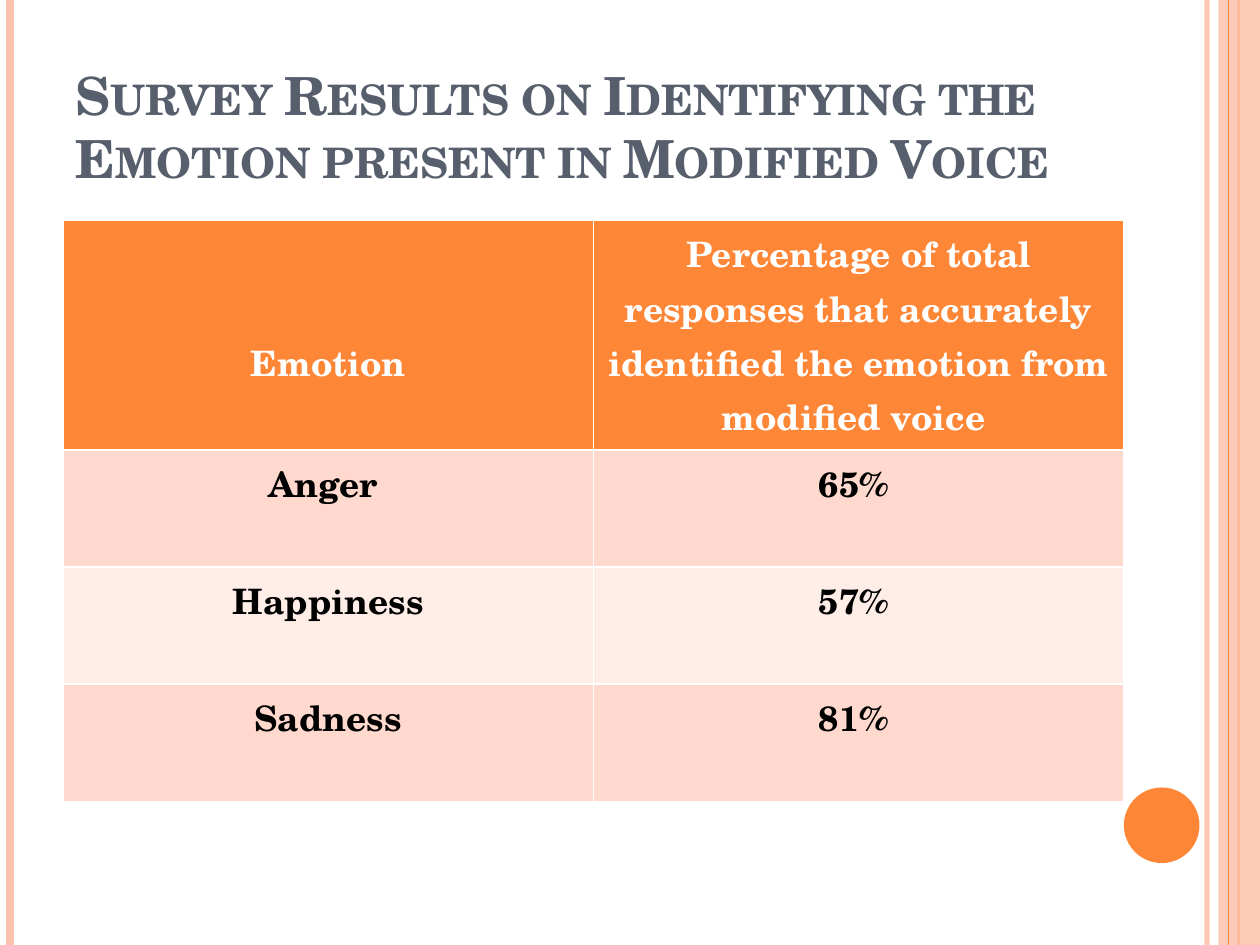
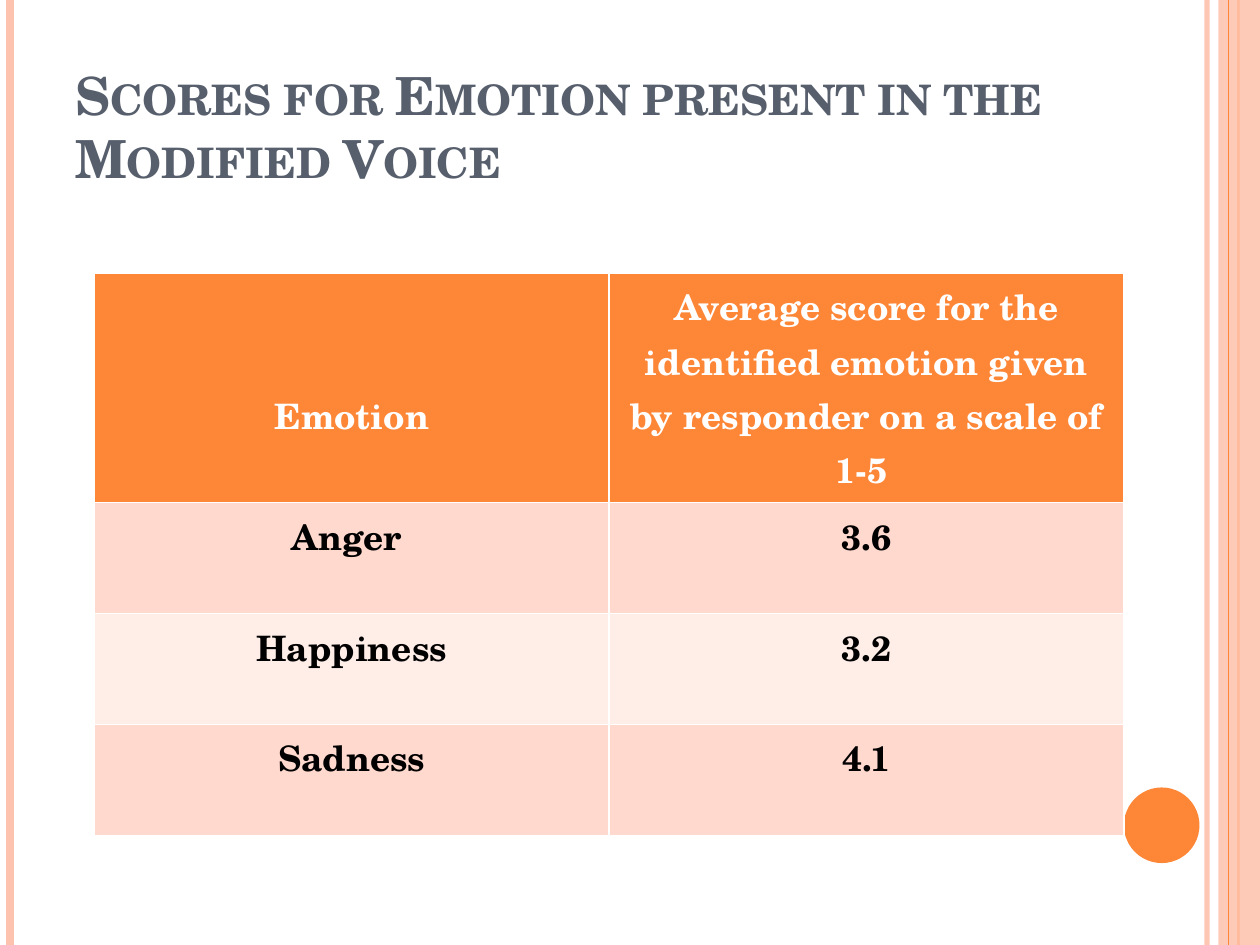
"""Two survey result slides with a shared orange frame, title style and table."""
from dataclasses import dataclass

from lxml import etree
from pptx import Presentation
from pptx.dml.color import RGBColor
from pptx.enum import shapes, text
from pptx.oxml import ns
from pptx.util import Inches, Pt

FONT = "TeX Gyre Schola"
ORANGE, PEACH, SLATE = "FE8637", "FEC3AE", "575F6D"
WHITE, BLACK = "FFFFFF", "000000"
BANDS = ("FFD9CE", "FFEDE8")
WIDTH, HEIGHT = 10, 7.5
HEADER_HEIGHT = 1.82  # four lines of 20 pt text and the cell margins


@dataclass
class Rule:
    """A full-height vertical line of the frame."""
    x: float
    color: str
    weight: float
    opacity: int = 100


@dataclass
class ResultSlide:
    """A title and a two-column table; the first row is the header."""
    title: str
    left: float
    top: float
    width: float
    row_height: float
    rows: list[tuple[str, str]]


OUTER_RULES = [Rule(9.58, PEACH, 3, 93), Rule(0.08, PEACH, 4.5), Rule(9.83, ORANGE, 1.5)]
BAND_RULE = Rule(9.75, ORANGE, 0.75)

SLIDES = [
    ResultSlide(
        "Survey Results on Identifying the Emotion present in Modified Voice",
        0.5, 1.75, 8.42, 0.93,
        [("Emotion", "Percentage of total responses that accurately identified "
                     "the emotion from modified voice "),
         ("Anger ", "65% "), ("Happiness", "57% "), ("Sadness", "81% ")]),
    ResultSlide(
        "Scores for Emotion present in the Modified Voice",
        0.75, 2.17, 8.17, 0.88,
        [("Emotion", "Average score for the identified emotion given by "
                     "responder on a scale of 1-5 "),
         ("Anger ", "3.6"), ("Happiness", "3.2"), ("Sadness", "4.1")]),
]


def rgb(color: str) -> RGBColor:
    """Turn a hex string into a colour."""
    return RGBColor.from_string(color)


def set_opacity(element, percent: int) -> None:
    """Make the colour inside an element partly transparent."""
    if percent < 100:
        clr = next(element.iter(ns.qn("a:srgbClr")))
        etree.SubElement(clr, ns.qn("a:alpha"), val=str(percent * 1000))


def add_rule(slide, rule: Rule) -> None:
    """Draw one vertical line from top to bottom."""
    x = Inches(rule.x)
    line = slide.shapes.add_connector(
        shapes.MSO_CONNECTOR.STRAIGHT, x, 0, x, Inches(HEIGHT))
    line.line.color.rgb = rgb(rule.color)
    line.line.width = Pt(rule.weight)
    sp_pr = line._element.spPr
    set_opacity(sp_pr, rule.opacity)
    etree.SubElement(sp_pr, ns.qn("a:effectLst"))


def add_solid(slide, kind, box: tuple, color: str, opacity: int = 100) -> None:
    """Draw a filled shape without outline."""
    sp = slide.shapes.add_shape(kind, *map(Inches, box))
    sp.shadow.inherit = False
    sp.fill.solid()
    sp.fill.fore_color.rgb = rgb(color)
    sp.line.fill.background()
    set_opacity(sp._element.spPr, opacity)


def add_frame(slide) -> None:
    """Draw the lines, the band and the disc that every slide has."""
    for rule in OUTER_RULES:
        add_rule(slide, rule)
    add_solid(slide, shapes.MSO_SHAPE.RECTANGLE, (9.67, 0, WIDTH - 9.67, HEIGHT), PEACH, 87)
    add_rule(slide, BAND_RULE)
    add_solid(slide, shapes.MSO_SHAPE.OVAL, (8.92, 6.25, 0.6, 0.6), ORANGE)


def style_run(p, size: float, color: str):
    """Format the only run of a paragraph and return it."""
    r = p.runs[0]
    r.font.name = FONT
    r.font.size = Pt(size)
    r.font.bold = True
    r.font.color.rgb = rgb(color)
    return r


def add_title(slide, title: str) -> None:
    """Write the title in small capitals, standing on the box bottom."""
    box = slide.shapes.add_textbox(Inches(0.5), Inches(0.3), Inches(8.17), Inches(1.25))
    tf = box.text_frame
    tf.word_wrap = True
    tf.vertical_anchor = text.MSO_ANCHOR.BOTTOM
    tf.text = title
    r = style_run(tf.paragraphs[0], 30, SLATE)
    r.font._element.set("cap", "small")


def set_borders(cell) -> None:
    """Give a cell thin white borders."""
    tc_pr = cell._tc.get_or_add_tcPr()
    for i, side in enumerate("LRTB"):
        ln = etree.Element(ns.qn(f"a:ln{side}"), w=str(Pt(1)))
        fill = etree.SubElement(ln, ns.qn("a:solidFill"))
        etree.SubElement(fill, ns.qn("a:srgbClr"), val=WHITE)
        tc_pr.insert(i, ln)


def fill_cell(cell, content: str, row: int) -> None:
    """Write and colour one cell as header or banded body."""
    header = row == 0
    cell.text = content
    p = cell.text_frame.paragraphs[0]
    p.alignment = text.PP_ALIGN.CENTER
    style_run(p, 20, WHITE if header else BLACK)
    cell.fill.solid()
    cell.fill.fore_color.rgb = rgb(ORANGE if header else BANDS[(row - 1) % 2])
    set_borders(cell)


def add_results(slide, result: ResultSlide) -> None:
    """Build the result table."""
    n = len(result.rows)
    height = HEADER_HEIGHT + (n - 1) * result.row_height
    table = slide.shapes.add_table(
        n, 2, Inches(result.left), Inches(result.top),
        Inches(result.width), Inches(height)).table
    for i, row in enumerate(result.rows):
        table.rows[i].height = Inches(result.row_height if i else HEADER_HEIGHT)
        for j, content in enumerate(row):
            fill_cell(table.cell(i, j), content, i)
    # The first heading stands level with the third line of its neighbour.
    table.cell(0, 0).margin_top = Inches(0.91)


def main() -> None:
    """Build and save the presentation."""
    prs = Presentation()
    prs.slide_width, prs.slide_height = Inches(WIDTH), Inches(HEIGHT)
    for result in SLIDES:
        slide = prs.slides.add_slide(prs.slide_layouts[6])
        add_frame(slide)
        add_title(slide, result.title)
        add_results(slide, result)
    prs.save("out.pptx")


main()
